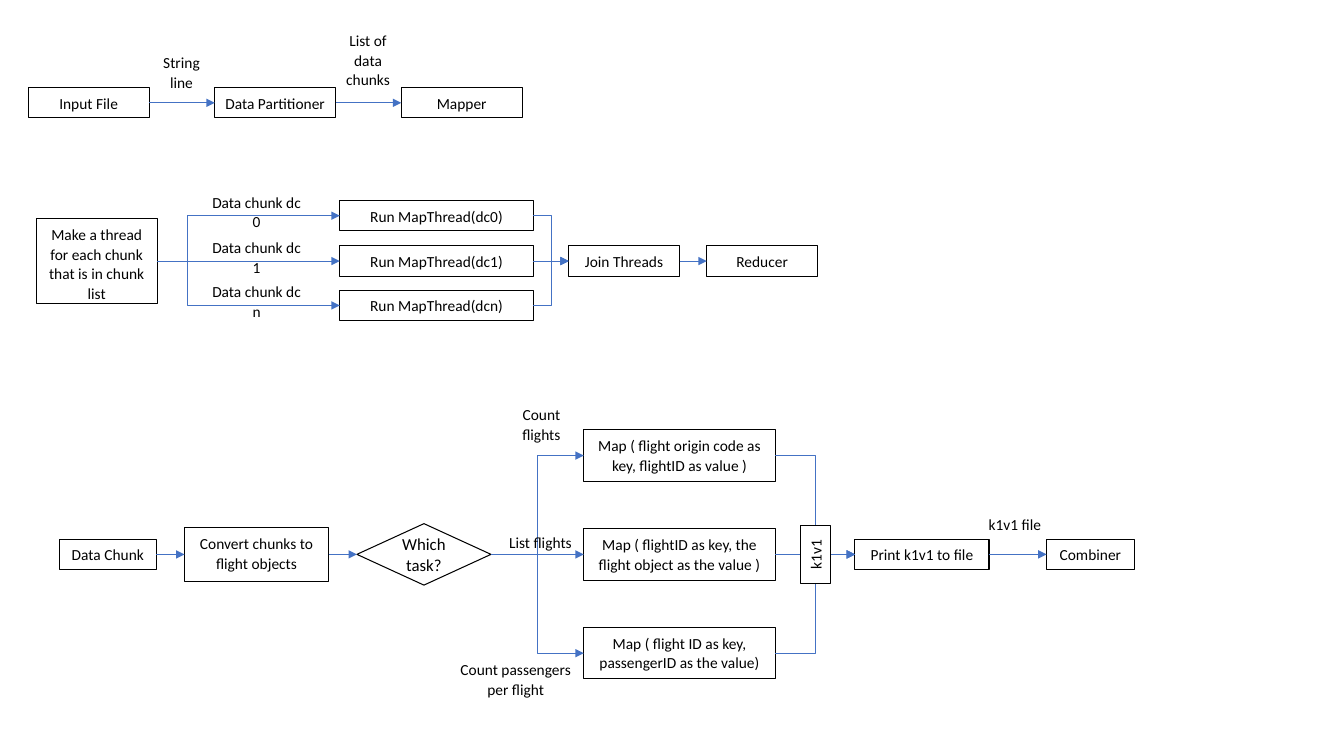
from lxml import etree
from pptx import Presentation
from pptx.dml.color import RGBColor
from pptx.enum.shapes import MSO_CONNECTOR, MSO_SHAPE
from pptx.enum.text import MSO_ANCHOR, PP_ALIGN
from pptx.oxml.ns import qn
from pptx.util import Inches, Pt

BLACK = RGBColor(0x00, 0x00, 0x00)
WHITE = RGBColor(0xFF, 0xFF, 0xFF)
BLUE = RGBColor(0x44, 0x72, 0xC4)
RECTANGLE = MSO_SHAPE.RECTANGLE
DECISION = MSO_SHAPE.FLOWCHART_DECISION
STRAIGHT = MSO_CONNECTOR.STRAIGHT
ELBOW = MSO_CONNECTOR.ELBOW
CENTER = PP_ALIGN.CENTER
TOP = MSO_ANCHOR.TOP
MIDDLE = MSO_ANCHOR.MIDDLE
LEFT_SITE, RIGHT_SITE = 1, 3
ROW_HEIGHT = 0.3
PARTITION_Y, THREAD_Y, TASK_Y = 1.02, 2.59, 5.5

deck = Presentation()
deck.slide_width = Inches(13.33)
deck.slide_height = Inches(7.5)
page = deck.slides.add_slide(deck.slide_layouts[6])


def add_node(text, left, middle, width, height=ROW_HEIGHT, kind=RECTANGLE):
    """Add an outlined box centred on a row; kind None gives a plain label."""
    place = [Inches(n) for n in (left, middle - height / 2, width, height)]
    if kind is None:
        node = page.shapes.add_textbox(*place)
    else:
        node = page.shapes.add_shape(kind, *place)
        node.shadow.inherit = False
        node.fill.solid()
        node.fill.fore_color.rgb = WHITE
        node.line.color.rgb = BLACK
        node.line.width = Pt(0.75)
    frame = node.text_frame
    frame.word_wrap = True
    frame.vertical_anchor = MIDDLE if kind == DECISION else TOP
    frame.text = text
    paragraph = frame.paragraphs[0]
    paragraph.alignment = CENTER
    if kind != DECISION:
        paragraph.line_spacing = 1.07
        paragraph.space_after = Pt(8)
    font = paragraph.runs[0].font
    font.name = "Calibri"
    font.size = Pt(12 if kind == DECISION else 11)
    font.color.rgb = BLACK
    return node


def connect(start, end, bend=None):
    """Join two boxes with an arrow, bent when they sit on different rows."""
    level = abs(start.top + start.height / 2 - end.top - end.height / 2) < Inches(0.01)
    arrow = page.shapes.add_connector(STRAIGHT if level else ELBOW, 0, 0, 0, 0)
    arrow.begin_connect(start, RIGHT_SITE)
    arrow.end_connect(end, LEFT_SITE)
    arrow.line.color.rgb = BLUE
    arrow.line.width = Pt(0.5)
    properties = arrow._element.spPr
    etree.SubElement(properties.find(qn("a:ln")), qn("a:tailEnd"), type="triangle")
    etree.SubElement(properties, qn("a:effectLst"))
    if bend and not level:
        guides = properties.find(qn("a:prstGeom")).find(qn("a:avLst"))
        etree.SubElement(guides, qn("a:gd"), name="adj1", fmla=f"val {bend}")


# Partitioning the input
input_file, partitioner, mapper = [
    add_node(text, left, PARTITION_Y, 1.2)
    for text, left in (("Input File", 0.28), ("Data Partitioner", 2.13), ("Mapper", 3.98))
]
connect(input_file, partitioner)
connect(partitioner, mapper)

# One thread per chunk
make_threads = add_node("Make a thread for each chunk that is in chunk list",
                        0.36, THREAD_Y, 1.2, 0.84)
join_threads = add_node("Join Threads", 5.64, THREAD_Y, 1.1)
reducer = add_node("Reducer", 7.01, THREAD_Y, 1.1)
for chunk, middle in (("0", 2.14), ("1", THREAD_Y), ("n", 3.03)):
    thread = add_node(f"Run MapThread(dc{chunk})", 3.37, middle, 1.92)
    connect(make_threads, thread, bend=16500)
    connect(thread, join_threads)
    add_node(f"Data chunk dc {chunk}", 1.97, middle - 0.14, 1.15, kind=None)
connect(join_threads, reducer)

# Mapping a chunk by task
data_chunk = add_node("Data Chunk", 0.59, TASK_Y, 0.96)
convert = add_node("Convert chunks to flight objects", 1.83, TASK_Y, 1.43, 0.53)
which_task = add_node("Which task?", 3.54, TASK_Y, 1.33, 0.61, DECISION)
print_file = add_node("Print k1v1 to file", 8.48, TASK_Y, 1.33)
combiner = add_node("Combiner", 10.38, TASK_Y, 0.87)
for start, end in ((data_chunk, convert), (convert, which_task), (print_file, combiner)):
    connect(start, end)

map_texts = (
    "Map ( flight origin code as key, flightID as value )",
    "Map ( flightID as key, the flight object as the value )",
    "Map ( flight ID as key, passengerID as the value)",
)
for row, text in enumerate(map_texts):
    map_step = add_node(text, 5.79, TASK_Y + 0.98 * (row - 1), 1.9, 0.51)
    connect(which_task, map_step)
    connect(map_step, print_file)
pair = add_node("k1v1", 7.8, TASK_Y, 0.57)
pair.rotation = 270

# Arrow labels
for text, left, middle, width, height in (
    ("String line", 1.39, 0.7, 0.82, 0.47),
    ("List of data chunks", 3.24, 0.48, 0.82, 0.47),
    ("Count flights", 4.91, 4.21, 0.92, 0.51),
    ("List flights", 4.9, 5.38, 0.92, ROW_HEIGHT),
    ("Count passengers per flight", 4.45, 6.64, 1.33, ROW_HEIGHT),
    ("k1v1 file", 9.69, 5.2, 0.75, ROW_HEIGHT),
):
    add_node(text, left, middle, width, height, kind=None)

deck.save("out.pptx")
